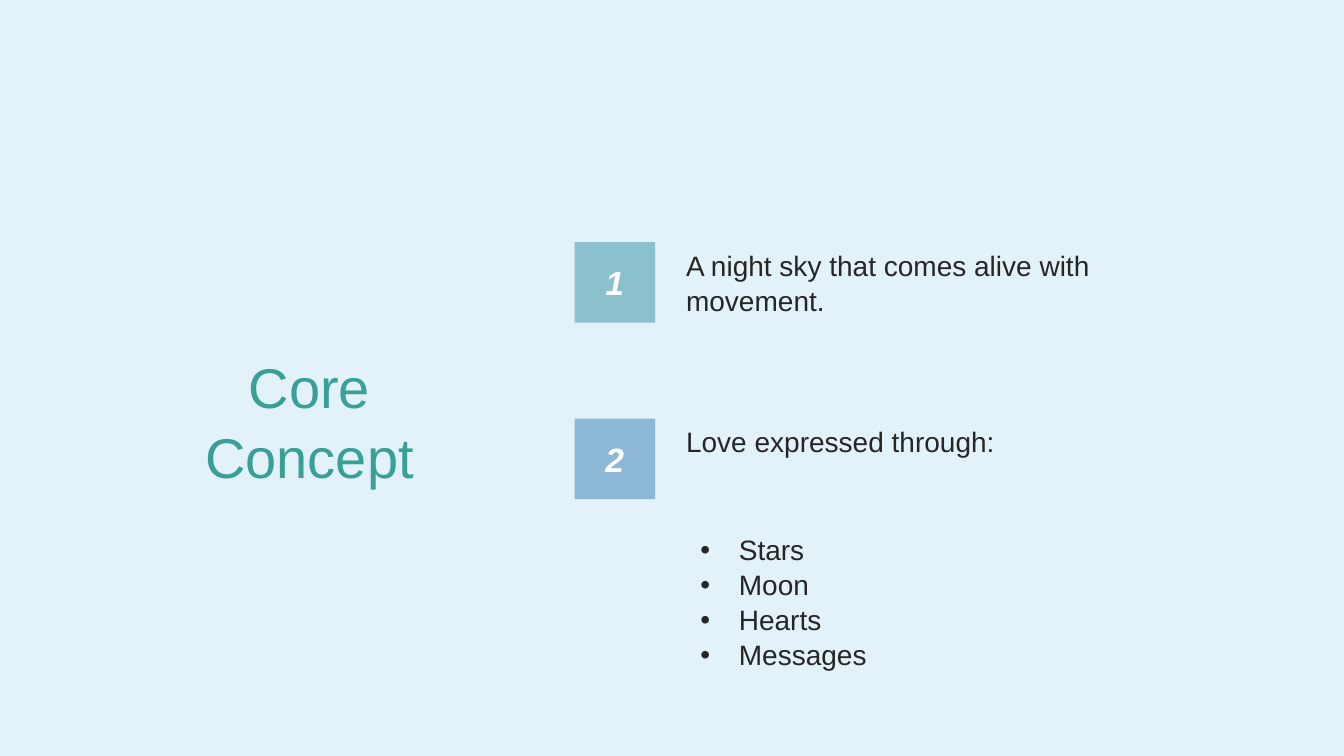
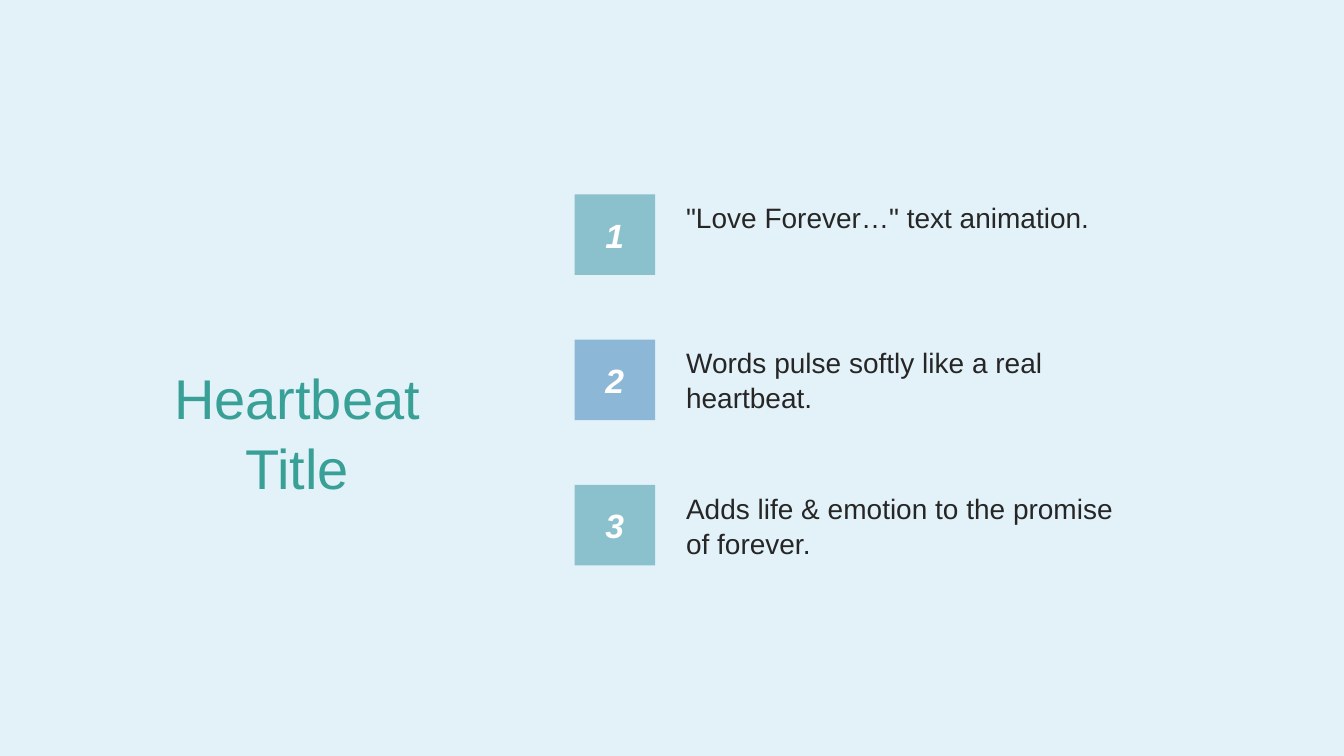
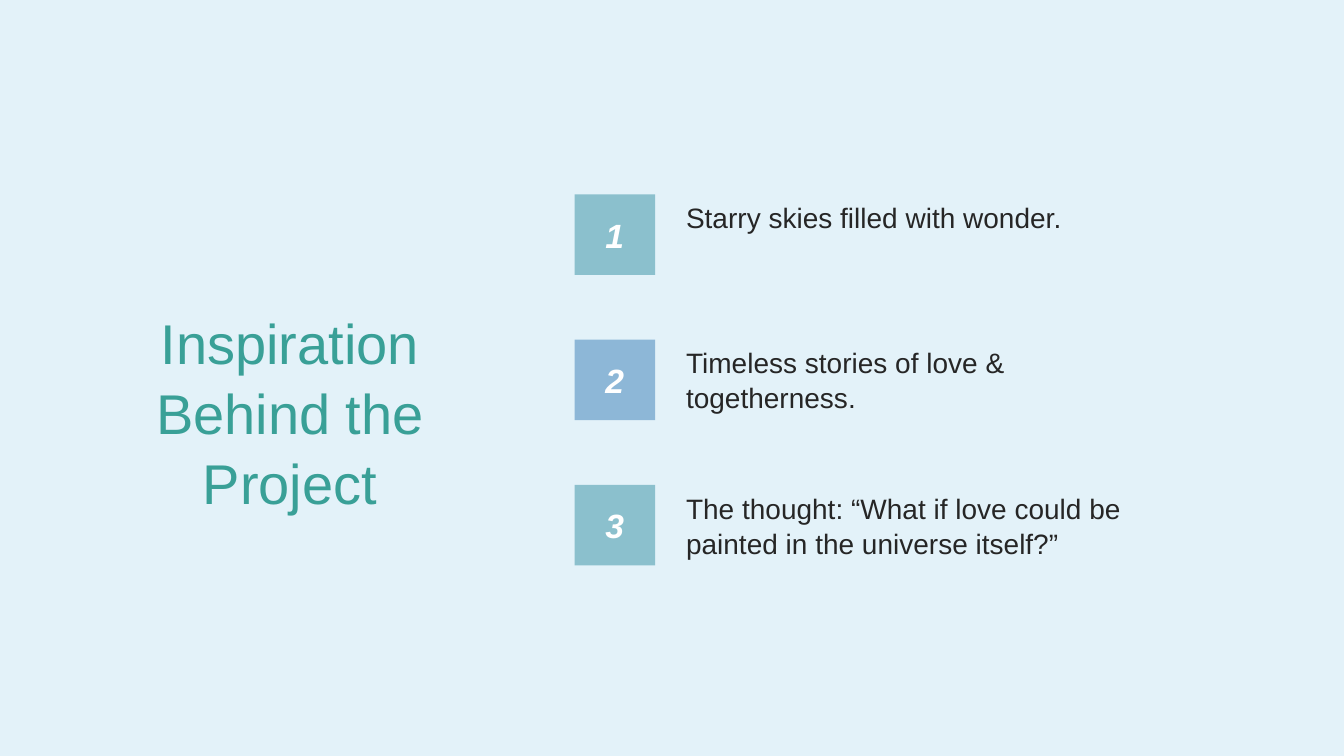
import pptx
import pptx.util
import pptx.dml.color
import pptx.enum.shapes
import pptx.enum.text
import pptx.oxml.ns
import lxml.etree

Cm = pptx.util.Cm
Pt = pptx.util.Pt
ALIGN = pptx.enum.text.PP_ALIGN
ANCHOR = pptx.enum.text.MSO_ANCHOR

BACKGROUND = "E3F2F9"
BODY_COLOUR = "262626"
NUMBER_COLOUR = "FFFFFF"
BADGE_COLOURS = ("8BC0CD", "8DB7D7")
TITLE_GRADIENT = ("39A097", "BECDCC")

TITLE_FONT = {"name": "Arial", "size": Pt(40)}
BODY_FONT = {"name": "Arial", "size": Pt(20)}
NUMBER_FONT = {"name": "Arial", "size": Pt(24), "bold": True, "italic": True}

BADGE_LEFT = 14.48
BADGE_SIZE = 2.03
POINT_LEFT = 17.04
POINT_WIDTH = 11.6
LINE_SPACING = 1.04

SLIDES = (
    {
        "title": "Core Concept",
        "title_box": (3.48, 8.7, 8.64, 3.6),
        "first_top": 6.1,
        "pitch": 4.45,
        "points": (
            "A night sky that comes alive with movement.",
            "Love expressed through:",
        ),
        "bullets": ("Stars", "Moon", "Hearts", "Messages"),
    },
    {
        "title": "Heartbeat Title",
        "title_box": (2.9, 8.98, 9.17, 3.6),
        "first_top": 4.9,
        "pitch": 3.66,
        "points": (
            '"Love Forever…" text animation.',
            "Words pulse softly like a real heartbeat.",
            "Adds life & emotion to the promise of forever.",
        ),
    },
    {
        "title": "Inspiration Behind the Project",
        "title_box": (2.72, 7.58, 9.17, 5.3),
        "first_top": 4.9,
        "pitch": 3.66,
        "points": (
            "Starry skies filled with wonder.",
            "Timeless stories of love & togetherness.",
            "The thought: “What if love could be painted in the universe itself?”",
        ),
    },
)


def colour(hex_string):
    return pptx.dml.color.RGBColor.from_string(hex_string)


def apply_format(target, values):
    for attribute, value in values.items():
        setattr(target, attribute, value)


def paint(fill, hex_string):
    fill.solid()
    fill.fore_color.rgb = colour(hex_string)


def add_bullet(paragraph):
    properties = paragraph._p.get_or_add_pPr()
    indent = Cm(0.97)
    properties.set("marL", str(indent))
    properties.set("indent", str(-indent))
    for tag, attribute, value in (("a:buFont", "typeface", "Arial"), ("a:buChar", "char", "•")):
        mark = lxml.etree.SubElement(properties, pptx.oxml.ns.qn(tag))
        mark.set(attribute, value)


def add_text(slide, box, lines, font_values, alignment=ALIGN.LEFT, bulleted=False):
    frame = slide.shapes.add_textbox(*map(Cm, box)).text_frame
    frame.word_wrap = True
    frame.text = "\n".join(lines)
    for paragraph in frame.paragraphs:
        paragraph.alignment = alignment
        paragraph.line_spacing = LINE_SPACING
        if bulleted:
            add_bullet(paragraph)
        font = paragraph.runs[0].font
        apply_format(font, font_values)
        paint(font.fill, BODY_COLOUR)
    return frame


def add_title(slide, title, box):
    frame = add_text(slide, box, [title], TITLE_FONT, ALIGN.CENTER)
    fill = frame.paragraphs[0].runs[0].font.fill
    fill.gradient()
    fill.gradient_angle = 0
    for stop, hex_string in zip(fill.gradient_stops, TITLE_GRADIENT):
        stop.color.rgb = colour(hex_string)


def add_badge(slide, number, top):
    badge = slide.shapes.add_shape(
        pptx.enum.shapes.MSO_SHAPE.RECTANGLE,
        Cm(BADGE_LEFT), Cm(top), Cm(BADGE_SIZE), Cm(BADGE_SIZE),
    )
    badge.shadow.inherit = False
    badge.line.fill.background()
    paint(badge.fill, BADGE_COLOURS[(number - 1) % len(BADGE_COLOURS)])
    frame = badge.text_frame
    frame.text = str(number)
    frame.vertical_anchor = ANCHOR.MIDDLE
    paragraph = frame.paragraphs[0]
    paragraph.alignment = ALIGN.CENTER
    font = paragraph.runs[0].font
    apply_format(font, NUMBER_FONT)
    paint(font.fill, NUMBER_COLOUR)


def add_point(slide, number, point, top):
    add_badge(slide, number, top)
    add_text(slide, (POINT_LEFT, top, POINT_WIDTH, BADGE_SIZE), [point], BODY_FONT)


def build_slide(presentation, content):
    slide = presentation.slides.add_slide(presentation.slide_layouts[6])
    add_title(slide, content["title"], content["title_box"])
    for index, point in enumerate(content["points"]):
        add_point(slide, index + 1, point, content["first_top"] + index * content["pitch"])
    if "bullets" in content:
        add_text(slide, (17.4, 13.27, 11.3, 3.91), content["bullets"], BODY_FONT, bulleted=True)


def main():
    presentation = pptx.Presentation()
    apply_format(presentation, {"slide_width": Cm(33.87), "slide_height": Cm(19.05)})
    paint(presentation.slide_master.background.fill, BACKGROUND)
    for content in SLIDES:
        build_slide(presentation, content)
    presentation.save("out.pptx")


if __name__ == "__main__":
    main()
